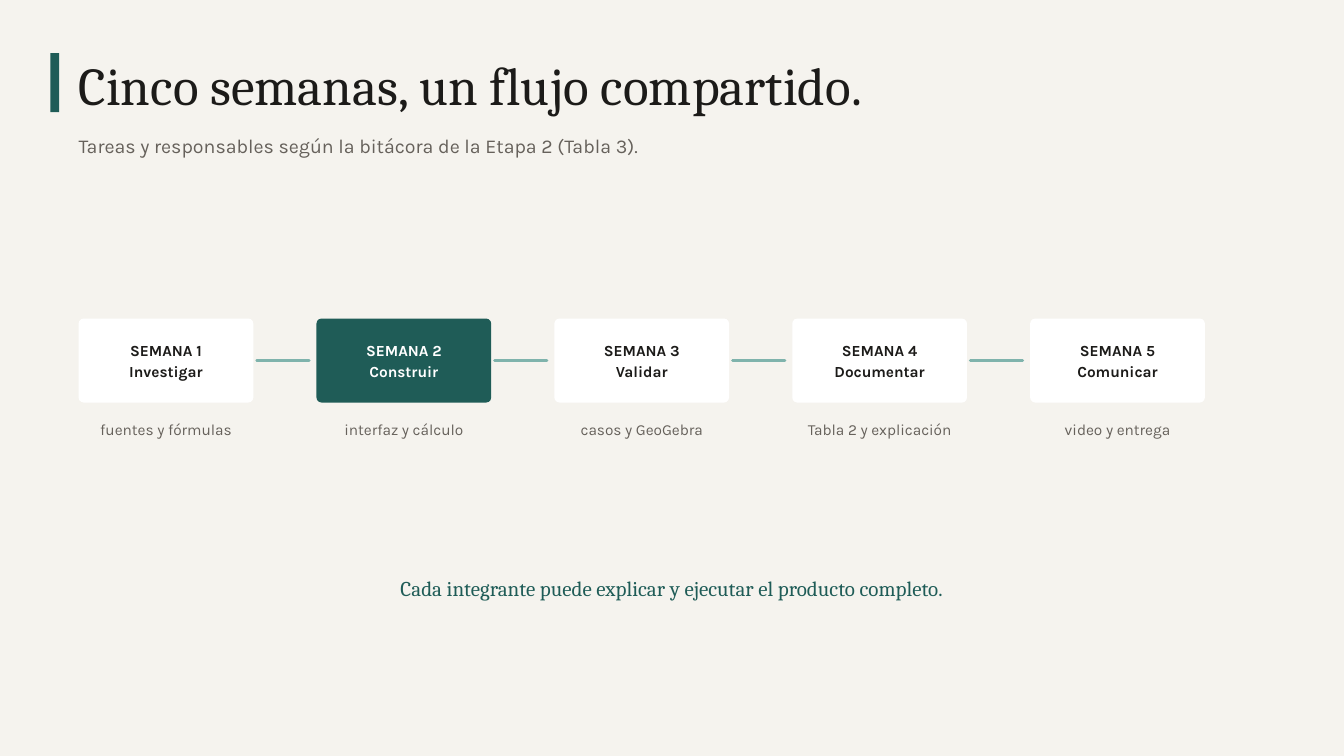
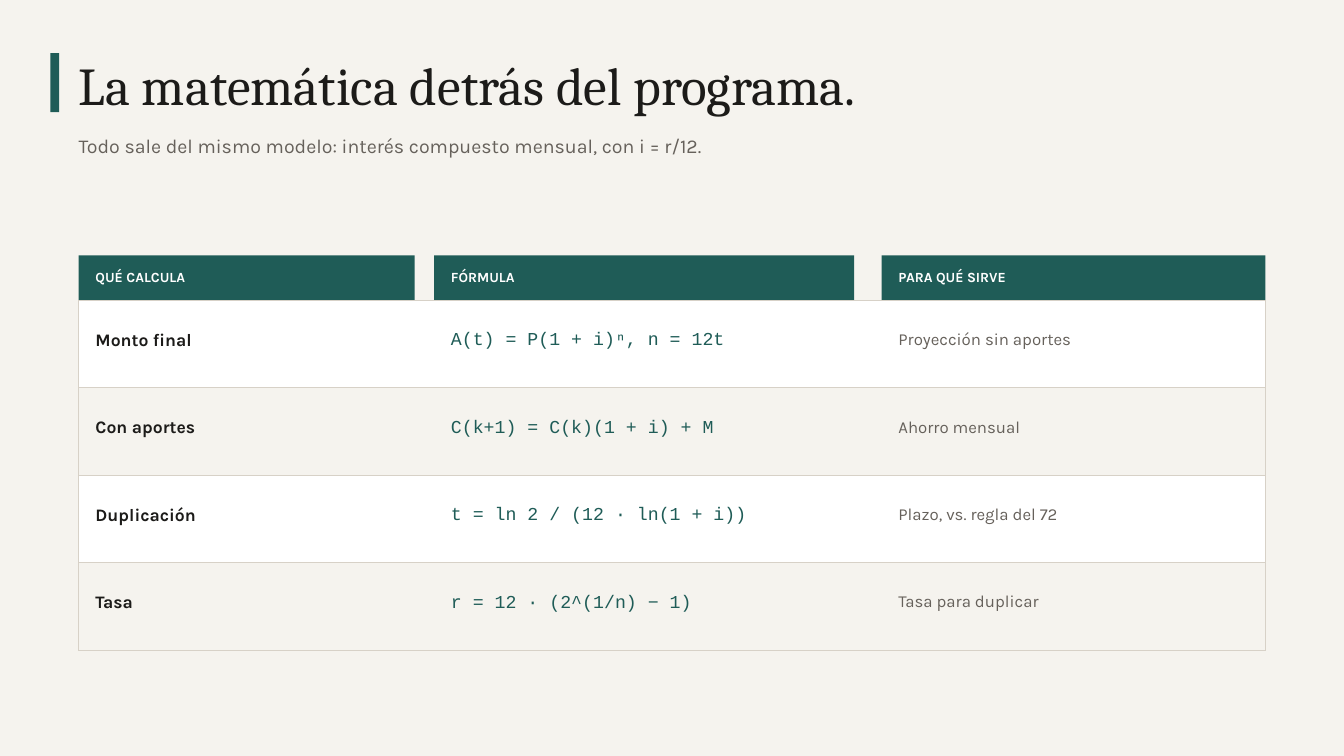
from dataclasses import dataclass
from pptx import Presentation
from pptx.dml.color import RGBColor
from pptx.enum.shapes import MSO_CONNECTOR, MSO_SHAPE
from pptx.enum.text import MSO_ANCHOR, MSO_AUTO_SIZE, PP_ALIGN
from pptx.oxml.ns import qn
from pptx.util import Inches, Pt
from lxml.etree import SubElement


@dataclass(frozen=True)
class TextStyle:
    font: str
    size: float
    color: str
    leading: float
    bold: bool = False
    align: PP_ALIGN = PP_ALIGN.LEFT


class Theme:
    paper, ink, muted, white = "F5F3EE", "1C1B19", "66615B", "FFFFFF"
    green, mint, border = "1F5C57", "7FB3AC", "D7D1C7"
    serif, sans, mono = "Cambria", "Karla", "Courier New"
    left = 1.17

    title = TextStyle(serif, 57, ink, 59.9)
    subtitle = TextStyle(sans, 21, muted, 29)
    week = TextStyle(sans, 16.5, ink, 22.3, True, PP_ALIGN.CENTER)
    current_week = TextStyle(sans, 16.5, white, 22.3, True, PP_ALIGN.CENTER)
    task = TextStyle(sans, 16.5, muted, 22.3, align=PP_ALIGN.CENTER)
    closing = TextStyle(serif, 22.5, green, 31.5, align=PP_ALIGN.CENTER)
    header = TextStyle(sans, 15, white, 21, True)
    concept = TextStyle(sans, 18.8, ink, 26.2, True)
    formula = TextStyle(mono, 19.5, green, 27.3)
    purpose = TextStyle(sans, 18, muted, 25.2)


WEEKS = [
    ("SEMANA 1", "Investigar", "fuentes y fórmulas"),
    ("SEMANA 2", "Construir", "interfaz y cálculo"),
    ("SEMANA 3", "Validar", "casos y GeoGebra"),
    ("SEMANA 4", "Documentar", "Tabla 2 y explicación"),
    ("SEMANA 5", "Comunicar", "video y entrega"),
]
CURRENT_WEEK = 1

# Heading, left edge, header width, body style and top inset of each column
COLUMNS = [
    ("QUÉ CALCULA", 1.17, 5, Theme.concept, 0.39),
    ("FÓRMULA", 6.46, 6.25, Theme.formula, 0.38),
    ("PARA QUÉ SIRVE", 13.12, 5.71, Theme.purpose, 0.39),
]
TABLE_RIGHT = 18.83

FORMULAS = [
    ("Monto final", "A(t) = P(1 + i)ⁿ, n = 12t", "Proyección sin aportes"),
    ("Con aportes", "C(k+1) = C(k)(1 + i) + M", "Ahorro mensual"),
    ("Duplicación", "t = ln 2 / (12 · ln(1 + i))", "Plazo, vs. regla del 72"),
    ("Tasa", "r = 12 · (2^(1/n) − 1)", "Tasa para duplicar"),
]


def rgb(color):
    return RGBColor.from_string(color)


def fill_solid(target, color):
    target.fill.solid()
    target.fill.fore_color.rgb = rgb(color)


def write(frame, lines, style):
    """Fill a text frame with one paragraph per line."""
    for index, line in enumerate(lines):
        paragraph = frame.paragraphs[0] if index == 0 else frame.add_paragraph()
        paragraph.text = line
        paragraph.alignment = style.align
        paragraph.line_spacing = Pt(style.leading)
        paragraph.space_before = Pt(0)
        font = paragraph.font
        font.name, font.size, font.bold = style.font, Pt(style.size), style.bold
        font.color.rgb = rgb(style.color)


def set_frame(frame, side=0, top=0, bottom=0, anchor=MSO_ANCHOR.TOP):
    frame.word_wrap = True
    frame.auto_size = MSO_AUTO_SIZE.NONE
    frame.vertical_anchor = anchor
    frame.margin_left = frame.margin_right = Inches(side)
    frame.margin_top, frame.margin_bottom = Inches(top), Inches(bottom)


def place(shape, left, top, width, height):
    shape.left, shape.top = Inches(left), Inches(top)
    shape.width, shape.height = Inches(width), Inches(height)


def add_text(slide, text, style, left, top, width, height):
    box = slide.shapes.add_textbox(Inches(left), Inches(top), Inches(width), Inches(height))
    set_frame(box.text_frame)
    write(box.text_frame, [text], style)


def add_panel(slide, kind, color, left, top, width, height):
    panel = slide.shapes.add_shape(kind, Inches(left), Inches(top), Inches(width), Inches(height))
    panel.shadow.inherit = False
    fill_solid(panel, color)
    panel.line.fill.background()
    return panel


def add_link(slide, left, right, y):
    link = slide.shapes.add_connector(
        MSO_CONNECTOR.STRAIGHT, Inches(left), Inches(y), Inches(right), Inches(y))
    link.line.color.rgb = rgb(Theme.mint)
    link.line.width = Pt(3)
    link.line._get_or_add_ln().set("cap", "rnd")
    SubElement(link._element.spPr, qn("a:effectLst"))


def add_titled_slide(presentation, title, subtitle):
    slide = presentation.slides.add_slide(presentation.slide_layouts[1])
    heading, body = slide.shapes.title, slide.placeholders[1]
    place(heading, Theme.left, 0.9, 13.02, 0.84)
    place(body, Theme.left, 1.94, 11.67, 0.39)
    # The subtitle uses the body placeholder without its bullet
    properties = body.text_frame.paragraphs[0]._p.get_or_add_pPr()
    properties.set("marL", "0")
    properties.set("indent", "0")
    SubElement(properties, qn("a:buNone"))
    for shape, text, style in ((heading, title, Theme.title), (body, subtitle, Theme.subtitle)):
        set_frame(shape.text_frame)
        write(shape.text_frame, [text], style)
    add_panel(slide, MSO_SHAPE.RECTANGLE, Theme.green, 0.75, 0.79, 0.13, 0.88)
    return slide


def add_week(slide, index, week, action, task):
    top, width, height, pitch = 4.74, 2.6, 1.25, 3.54
    left = Theme.left + index * pitch
    current = index == CURRENT_WEEK
    card = add_panel(slide, MSO_SHAPE.ROUNDED_RECTANGLE,
                     Theme.green if current else Theme.white, left, top, width, height)
    card.adjustments[0] = 0.06
    set_frame(card.text_frame, 0.06, 0.06, 0.09, MSO_ANCHOR.MIDDLE)
    write(card.text_frame, [week, action], Theme.current_week if current else Theme.week)
    add_text(slide, task, Theme.task, left, 6.22, width, 0.3)
    if index < len(WEEKS) - 1:
        add_link(slide, left + width + 0.05, left + width + 0.83, 5.36)


def set_borders(cell, visible_sides):
    """Draw the named sides of a cell and hide the others."""
    properties = cell._tc.get_or_add_tcPr()
    for position, side in enumerate(("L", "R", "T", "B")):
        line = properties.makeelement(qn(f"a:ln{side}"), {"w": str(Pt(0.75))})
        if side in visible_sides:
            fill = SubElement(line, qn("a:solidFill"))
            SubElement(fill, qn("a:srgbClr"), val=Theme.border)
        else:
            SubElement(line, qn("a:noFill"))
        properties.insert(position, line)


def add_column_header(slide, heading, left, width):
    block = add_panel(slide, MSO_SHAPE.RECTANGLE, Theme.green, left, 3.8, width, 0.67)
    set_frame(block.text_frame, side=0.25, top=0.15)
    write(block.text_frame, [heading], Theme.header)


def add_formula_table(slide):
    row_height = 1.3
    edges = [left for _, left, *_ in COLUMNS] + [TABLE_RIGHT]
    frame = slide.shapes.add_table(
        len(FORMULAS), len(COLUMNS), Inches(Theme.left), Inches(4.47),
        Inches(TABLE_RIGHT - Theme.left), Inches(row_height * len(FORMULAS)))
    table = frame.table
    table.first_row = table.horz_banding = False
    for column, start, end in zip(table.columns, edges, edges[1:]):
        column.width = Inches(end - start)

    outer_sides = ["TBL", "TB", "TBR"]
    for row, texts in enumerate(FORMULAS):
        table.rows[row].height = Inches(row_height)
        for column, (_, _, _, style, inset) in enumerate(COLUMNS):
            cell = table.cell(row, column)
            cell.margin_left = cell.margin_right = Inches(0.25)
            cell.margin_top, cell.margin_bottom = Inches(inset), 0
            fill_solid(cell, Theme.paper if row % 2 else Theme.white)
            write(cell.text_frame, [texts[column]], style)
            set_borders(cell, outer_sides[column])


def main():
    presentation = Presentation()
    presentation.slide_width, presentation.slide_height = Inches(20), Inches(11.25)
    fill_solid(presentation.slide_master.background, Theme.paper)

    # Five-week plan
    slide = add_titled_slide(presentation, "Cinco semanas, un flujo compartido.",
                             "Tareas y responsables según la bitácora de la Etapa 2 (Tabla 3).")
    for index, week in enumerate(WEEKS):
        add_week(slide, index, *week)
    add_text(slide, "Cada integrante puede explicar y ejecutar el producto completo.",
             Theme.closing, 3.75, 8.5, 12.5, 0.42)

    # Formulas behind the program
    slide = add_titled_slide(presentation, "La matemática detrás del programa.",
                             "Todo sale del mismo modelo: interés compuesto mensual, con i = r/12.")
    for heading, left, width, *_ in COLUMNS:
        add_column_header(slide, heading, left, width)
    add_formula_table(slide)

    presentation.save("out.pptx")


if __name__ == "__main__":
    main()
